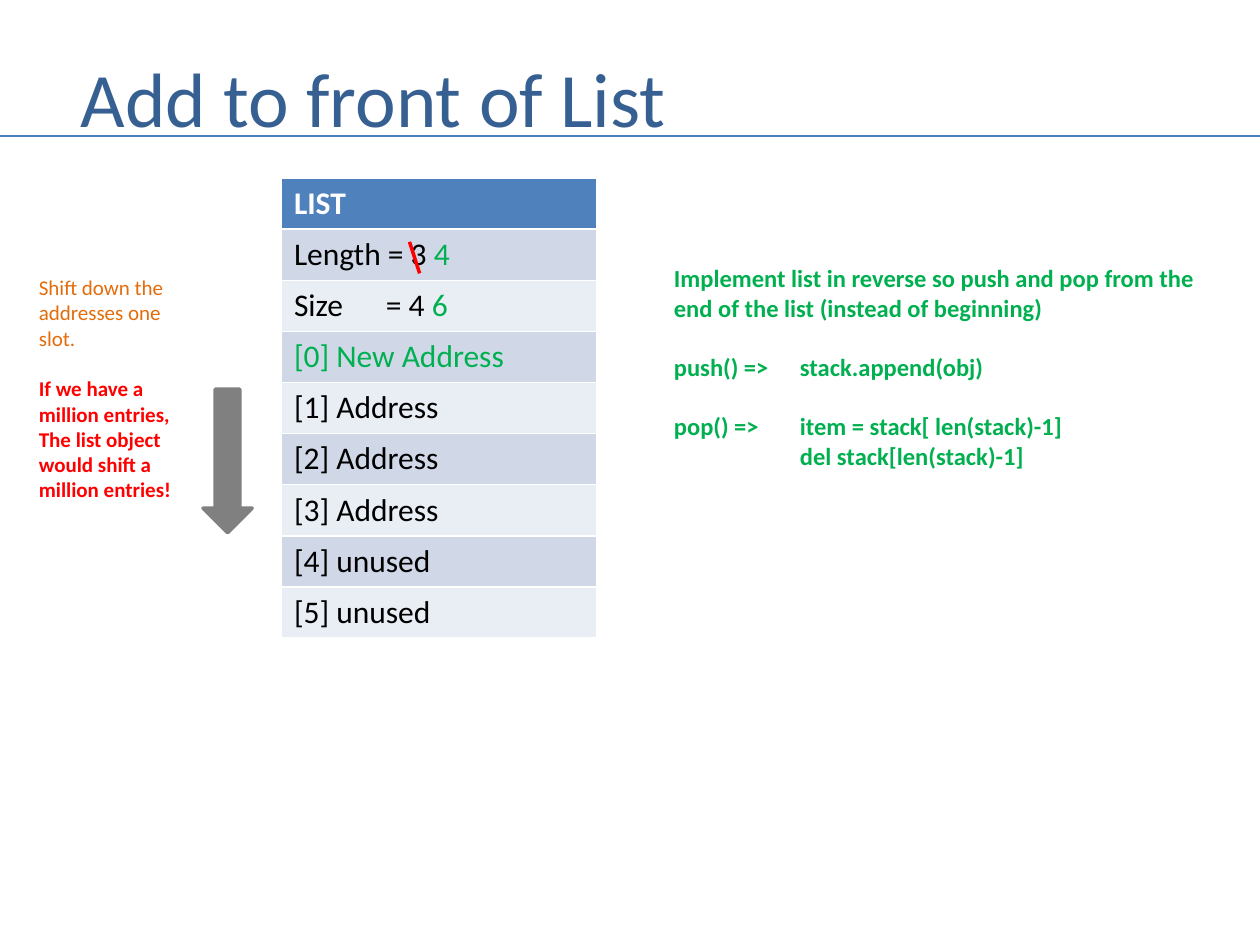
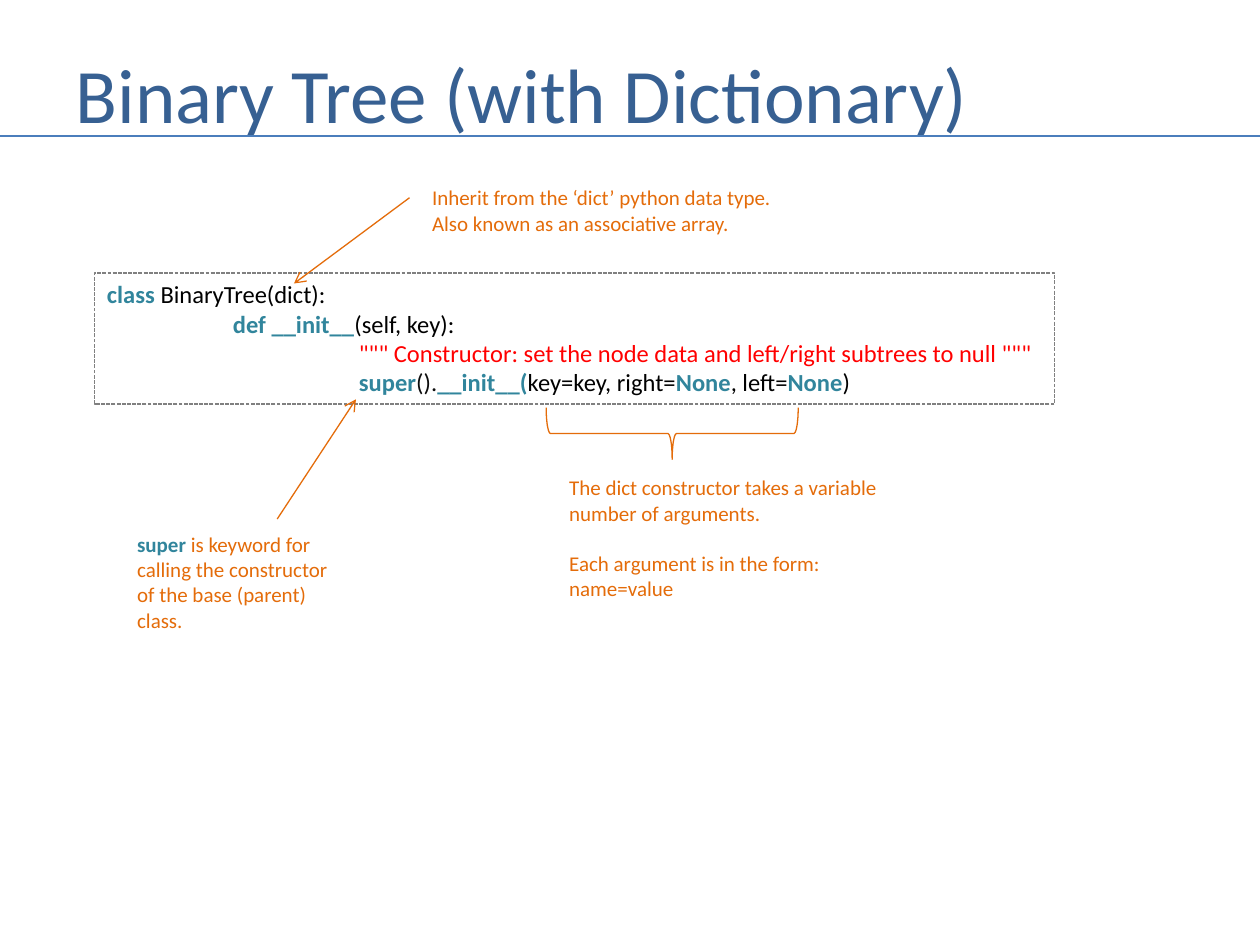
"""Builds two lecture slides on list insertion and a dictionary-based binary tree."""
from lxml.etree import SubElement
from pptx import Presentation
from pptx.dml.color import RGBColor
from pptx.enum.dml import MSO_LINE
from pptx.enum.shapes import MSO_CONNECTOR, MSO_SHAPE
from pptx.enum.text import MSO_ANCHOR, MSO_AUTO_SIZE, PP_ALIGN
from pptx.oxml.ns import qn
from pptx.util import Pt

FONT = "Calibri"
LINE_HEIGHT = 1.22
TITLE_BLUE, RULE_BLUE, HEADER_BLUE = "376092", "4B7EBC", "4F81BD"
ORANGE, GRAY, RED = "E46C0A", "808080", "FF0000"
ROW_FILLS = ("D0D8E8", "E9EDF4")
STYLES = {
    "plain": ("000000", False),
    "header": ("FFFFFF", True),
    "new": ("00B050", False),
    "tip": ("00B050", True),
    "note": (ORANGE, False),
    "warning": (RED, True),
    "docstring": (RED, False),
    "keyword": ("31859C", True),
    "call": ("0D0D0D", False),
}

LIST_ROWS = [
    [("LIST", "header")],
    [("Length = 3 ", "plain"), ("4", "new")],
    [("Size\t= 4 ", "plain"), ("6", "new")],
    [("[0] New Address", "new")],
    [("[1] Address", "plain")],
    [("[2] Address", "plain")],
    [("[3] Address", "plain")],
    [("[4] unused", "plain")],
    [("[5] unused", "plain")],
]

# Each paragraph is (blank lines before it, runs).
SHIFT_NOTE = [
    (0, [("Shift down the addresses one slot.", "note")]),
    (1, [("If we have a million entries,", "warning")]),
    (0, [("The list object would shift a million entries!", "warning")]),
]
REVERSE_TIP = [
    (0, [("Implement list in reverse so push and pop from the", "tip")]),
    (0, [("end of the list (instead of beginning)", "tip")]),
    (1, [("push() =>\tstack.append(obj)", "tip")]),
    (1, [("pop() =>\titem = stack[ len(stack)-1]", "tip")]),
    (0, [("\tdel stack[len(stack)-1]", "tip")]),
]
TREE_CODE = [
    (0, [("class ", "keyword"), ("BinaryTree(dict):", "plain")]),
    (0, [("\tdef __init__", "keyword"), ("(self, key):", "plain")]),
    (0, [('\t\t""" Constructor: set the node data and left/right subtrees to null """',
          "docstring")]),
    (0, [("\t\tsuper", "keyword"), ("().", "call"), ("__init__(", "keyword"),
         ("key=key, right=", "plain"), ("None", "keyword"), (", left=", "plain"),
         ("None", "keyword"), (")", "plain")]),
]
INHERIT_NOTE = [
    (0, [("Inherit from the ‘dict’ python data type.", "note")]),
    (0, [("Also known as an associative array.", "note")]),
]
SUPER_NOTE = [
    (0, [("super ", "keyword"),
         ("is keyword for calling the constructor of the base (parent) class.", "note")]),
]
ARGUMENTS_NOTE = [
    (0, [("The dict constructor takes a variable number of arguments.", "note")]),
    (1, [("Each argument is in the form: name=value", "note")]),
]


def rgb(color):
    return RGBColor.from_string(color)


def points(*lengths):
    return [Pt(length) for length in lengths]


def style_font(font, size, color, bold=False):
    font.name, font.size, font.bold = FONT, Pt(size), bold
    font.color.rgb = rgb(color)


def write(frame, paragraphs, size, tab_stops=(72, 144)):
    for index, (blank_lines, runs) in enumerate(paragraphs):
        paragraph = frame.add_paragraph() if index else frame.paragraphs[0]
        if any("\t" in text for text, _ in runs):
            tabs = SubElement(paragraph._p.get_or_add_pPr(), qn("a:tabLst"))
            for stop in tab_stops:
                SubElement(tabs, qn("a:tab"), pos=str(int(Pt(stop))), algn="l")
        if blank_lines:
            paragraph.space_before = Pt(round(blank_lines * size * LINE_HEIGHT, 1))
        for text, style in runs:
            run = paragraph.add_run()
            run.text = text
            style_font(run.font, size, *STYLES[style])


def add_text(slide, box, paragraphs, size):
    textbox = slide.shapes.add_textbox(*points(*box))
    textbox.text_frame.word_wrap = True
    write(textbox.text_frame, paragraphs, size)
    return textbox


def add_line(slide, start, end, color, width, arrow=False):
    connector = slide.shapes.add_connector(MSO_CONNECTOR.STRAIGHT, *points(*start, *end))
    connector.line.color.rgb = rgb(color)
    connector.line.width = Pt(width)
    properties = connector.element.spPr
    if arrow:
        SubElement(properties.find(qn("a:ln")), qn("a:tailEnd"), type="arrow")
    SubElement(properties, qn("a:effectLst"))


def add_outlined(slide, preset, box, color, width, filled=False):
    shape = slide.shapes.add_shape(preset, *points(*box))
    shape.shadow.inherit = False
    shape.line.color.rgb = rgb(color)
    shape.line.width = Pt(width)
    if filled:
        shape.fill.solid()
        shape.fill.fore_color.rgb = rgb(color)
    else:
        shape.fill.background()
    return shape


def add_titled_slide(deck, heading, left, top):
    slide = deck.slides.add_slide(deck.slide_layouts[5])
    title = slide.shapes.title
    title.left, title.top, title.width, title.height = points(left, top, 653.8, 62.6)
    frame = title.text_frame
    frame.text = heading
    frame.auto_size = MSO_AUTO_SIZE.NONE
    frame.vertical_anchor = MSO_ANCHOR.MIDDLE
    frame.paragraphs[0].alignment = PP_ALIGN.LEFT
    style_font(frame.paragraphs[0].runs[0].font, 44, TITLE_BLUE)
    add_line(slide, (0, 77.8), (720, 77.8), RULE_BLUE, 1.5)
    return slide


def add_list_table(slide, left, top, width, row_height):
    height = row_height * len(LIST_ROWS)
    table = slide.shapes.add_table(
        len(LIST_ROWS), 1, *points(left, top, width, height)).table
    for index, runs in enumerate(LIST_ROWS):
        table.rows[index].height = Pt(row_height)
        cell = table.cell(index, 0)
        cell.fill.solid()
        cell.fill.fore_color.rgb = rgb(ROW_FILLS[(index - 1) % 2] if index else HEADER_BLUE)
        write(cell.text_frame, [(0, runs)], 18, tab_stops=(52.5,))


def build_list_slide(deck):
    slide = add_titled_slide(deck, "Add to front of List", 38.9, 23.8)
    add_list_table(slide, 160.8, 101.8, 180, 29.2)
    add_line(slide, (234, 138.2), (239.8, 156.2), RED, 2)
    add_outlined(slide, MSO_SHAPE.DOWN_ARROW, (116, 222.4, 28.1, 82), GRAY, 2, filled=True)
    add_text(slide, (15.1, 153.4, 92.9, 138.2), SHIFT_NOTE, 12)
    add_text(slide, (378, 146.9, 314, 126), REVERSE_TIP, 14)


def build_tree_slide(deck):
    slide = add_titled_slide(deck, "Binary Tree (with Dictionary)", 36, 21.6)
    code = add_text(slide, (54, 156, 548.6, 75), TREE_CODE, 14)
    code.line.color.rgb = rgb(GRAY)
    code.line.width = Pt(0.75)
    code.line.dash_style = MSO_LINE.SQUARE_DOT
    add_text(slide, (239.8, 102.2, 216, 36), INHERIT_NOTE, 12)
    add_line(slide, (234, 113), (168, 162), ORANGE, 0.75, arrow=True)
    add_text(slide, (71.3, 300.2, 131.8, 65.5), SUPER_NOTE, 12)
    add_line(slide, (158.4, 296.6), (203.4, 228.2), ORANGE, 0.75, arrow=True)
    brace = add_outlined(
        slide, MSO_SHAPE.LEFT_BRACE, (369.4, 175.7, 29.5, 144), ORANGE, 0.75)
    brace.rotation = 270
    add_text(slide, (318.2, 267.8, 192.2, 79.9), ARGUMENTS_NOTE, 12)


def main():
    deck = Presentation()
    deck.slide_width, deck.slide_height = points(720, 540)
    build_list_slide(deck)
    build_tree_slide(deck)
    deck.save("out.pptx")


if __name__ == "__main__":
    main()
